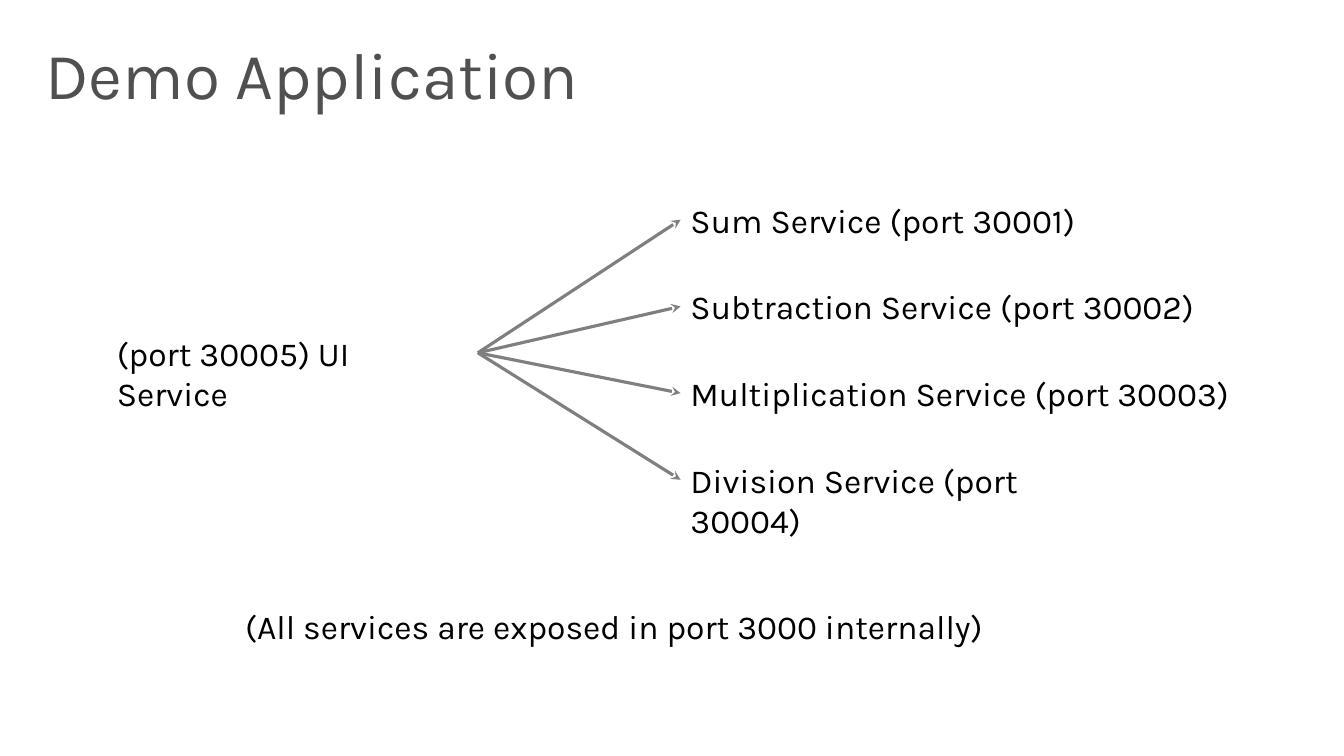
from pptx import Presentation
from pptx.dml.color import RGBColor
from pptx.enum.shapes import MSO_CONNECTOR
from pptx.enum.text import MSO_ANCHOR, MSO_AUTO_SIZE, PP_ALIGN
from pptx.oxml.ns import qn
from pptx.util import Inches, Pt
from lxml import etree

LINE = MSO_CONNECTOR.STRAIGHT
TOP = MSO_ANCHOR.TOP
FIXED = MSO_AUTO_SIZE.NONE
LEFT = PP_ALIGN.LEFT
CENTER = PP_ALIGN.CENTER


def color(code):
    return RGBColor.from_string(code)


def write(box, place, text, size, code, pad, align=LEFT):
    box.left, box.top, box.width, box.height = [Inches(n) for n in place]
    frame = box.text_frame
    frame.text = text
    frame.word_wrap = True
    frame.auto_size = FIXED
    frame.vertical_anchor = TOP
    frame.margin_left, frame.margin_top, frame.margin_right, frame.margin_bottom = [
        Inches(n) for n in pad]
    para = frame.paragraphs[0]
    para.alignment = align
    font = para.runs[0].font
    font.name = "Karla"
    font.size = Pt(size)
    font.color.rgb = color(code)
    return para


deck = Presentation()
deck.slide_width = Inches(13.33)
deck.slide_height = Inches(7.5)
slide = deck.slides.add_slide(deck.slide_layouts[5])
shapes = slide.shapes

title = write(shapes.title, (0.29, 0.32, 12.75, 0.98), "Demo Application",
              47, "505050", (0.16, 0.1, 0.16, 0.1))
title.line_spacing = 0.9

start, hub, col = 1.06, 4.74, 6.75
first, pitch, high = 1.93, 0.86, 0.5
mid = 3.5
pad = (0.1, 0.05, 0.1, 0.05)

labels = [
    ("(port 30005) UI Service", start, mid - high / 2, hub - start),
]
ports = [
    ("Sum Service (port 30001)", 4.39),
    ("Subtraction Service (port 30002)", 5.25),
    ("Multiplication Service (port 30003)", 5.55),
    ("Division Service (port 30004)", 4.61),
]
for row, (text, wide) in enumerate(ports):
    top = first + row * pitch
    labels.append((text, col, top, wide))
    arrow = shapes.add_connector(LINE, Inches(hub), Inches(mid),
                                 Inches(col), Inches(top + high / 2))
    arrow.line.color.rgb = color("7F7F7F")
    arrow.line.width = Pt(2.25)
    tail = etree.SubElement(arrow.line._get_or_add_ln(), qn("a:tailEnd"))
    tail.set("type", "stealth")
    etree.SubElement(arrow._element.spPr, qn("a:effectLst"))

for text, left, top, wide in labels:
    box = shapes.add_textbox(0, 0, 0, 0)
    write(box, (left, top, wide, high), text, 24, "000000", pad)

note = shapes.add_textbox(0, 0, 0, 0)
write(note, (start, 5.96, 10.94, 0.58),
      "(All services are exposed in port 3000 internally)",
      24, "000000", (0, 0.05, 0.88, 0.05), CENTER)

deck.save("out.pptx")
